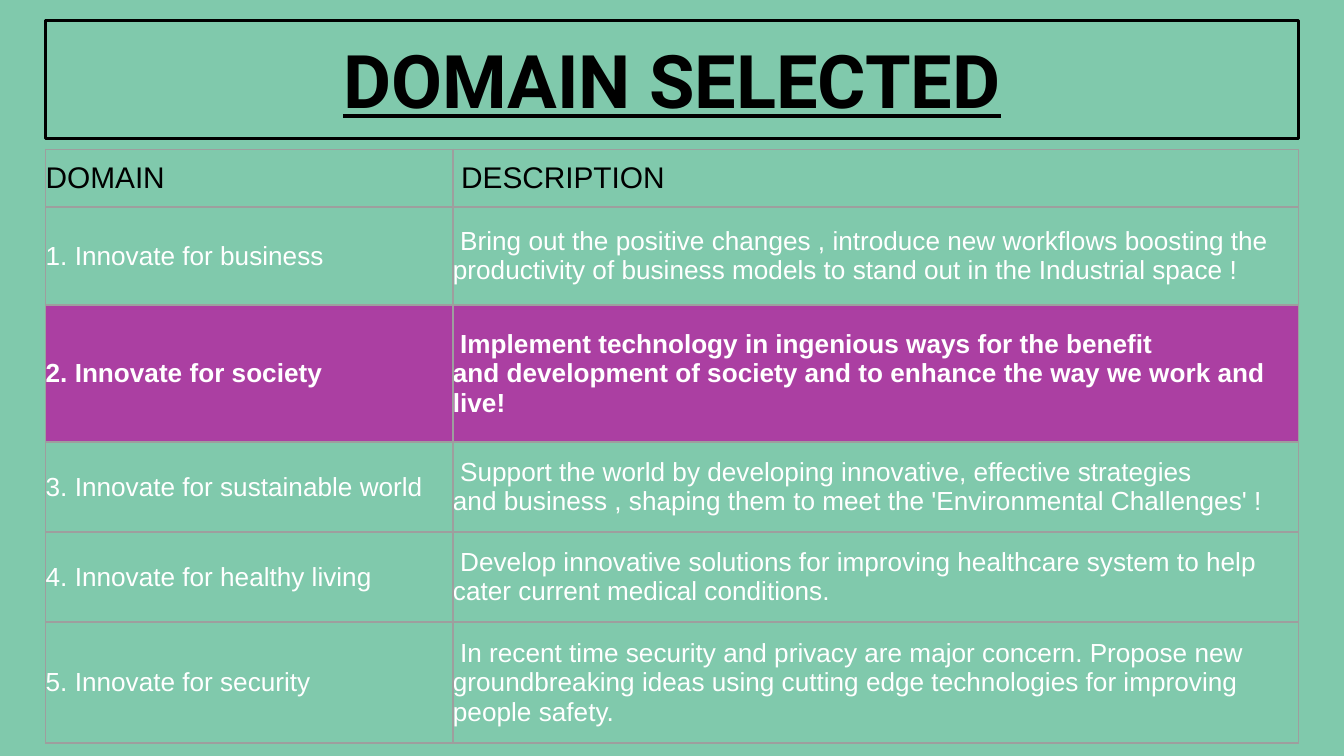
from dataclasses import dataclass

from pptx import Presentation
from pptx.dml.color import RGBColor
from pptx.enum.text import MSO_ANCHOR as Anchor, MSO_AUTO_SIZE as AutoSize, PP_ALIGN as Align
from pptx.oxml import parse_xml
from pptx.oxml.ns import nsdecls
from pptx.util import Inches, Pt

GREEN = RGBColor(0x80, 0xC9, 0xAC)
PURPLE = RGBColor(0xAB, 0x3F, 0xA2)
GREY = RGBColor(0x9E, 0x9E, 0x9E)
BLACK = RGBColor(0, 0, 0)
WHITE = RGBColor(0xFF, 0xFF, 0xFF)

SLIDE_W = Inches(10)
SLIDE_H = SLIDE_W * 9 // 16
LEFT, WIDTH = 0.034, 0.932
COLS = (3.03, 6.29)
ROWS = (0.43, 0.73, 1.02, 0.67, 0.67, 0.9)
MARGINS = ("margin_left", "margin_right", "margin_top", "margin_bottom")
NBSP = chr(160)


@dataclass
class Row:
    domain: str
    description: str
    size: float = 14
    color: RGBColor = WHITE
    selected: bool = False


TABLE = (
    Row("DOMAIN", "DESCRIPTION", size=16, color=BLACK),
    Row("1. Innovate for business",
        "Bring out the positive changes , introduce new workflows boosting the "
        "productivity of business models to stand out in the Industrial space !"),
    Row("2. Innovate for society",
        "Implement technology in ingenious ways for the benefit "
        f"and{NBSP}development of society and to enhance the way we work and live!",
        selected=True),
    Row("3. Innovate for sustainable world",
        "Support the world by developing innovative, effective strategies "
        f"and{NBSP}business , shaping them to meet the 'Environmental Challenges' !"),
    Row("4. Innovate for healthy living",
        "Develop innovative solutions for improving healthcare system to help "
        "cater current medical conditions."),
    Row("5. Innovate for security",
        "In recent time security and privacy are major concern. Propose new "
        "groundbreaking ideas using cutting edge technologies for improving people safety."),
)


def set_attrs(obj, **values) -> None:
    for name, value in values.items():
        setattr(obj, name, value)


def write(p, text: str, color: RGBColor, **font):
    r = p.add_run()
    r.text = text
    set_attrs(r.font, **font)
    r.font.color.rgb = color
    return r


def line_xml(tag: str, color: RGBColor):
    return parse_xml(
        f'<a:{tag} {nsdecls("a")} w="{Pt(0.75)}"><a:solidFill>'
        f'<a:srgbClr val="{color}"/></a:solidFill></a:{tag}>')


def add_title(s, text: str) -> None:
    sp = s.shapes.title
    set_attrs(sp, left=int(SLIDE_W * LEFT), top=Inches(0.15),
              width=int(SLIDE_W * WIDTH), height=Inches(0.88))
    sp.line.color.rgb = BLACK
    sp.line.width = Pt(1.5)
    tf = sp.text_frame
    set_attrs(tf, auto_size=AutoSize.NONE, word_wrap=True, vertical_anchor=Anchor.MIDDLE,
              **dict.fromkeys(MARGINS, Inches(0.1)))
    p = tf.paragraphs[0]
    p.alignment = Align.CENTER
    r = write(p, text, BLACK, name="Roboto", size=Pt(39.6), bold=True, underline=True)
    r.font._element.insert(0, line_xml("ln", WHITE))


def fill_cell(cell, text: str, row: Row) -> None:
    set_attrs(cell, vertical_anchor=Anchor.MIDDLE, **dict.fromkeys(MARGINS, 0))
    write(cell.text_frame.paragraphs[0], text, row.color,
          name="Arial", size=Pt(row.size), bold=row.selected)
    if row.selected:
        cell.fill.solid()
        cell.fill.fore_color.rgb = PURPLE
    else:
        cell.fill.background()
    tc_pr = cell._tc.get_or_add_tcPr()
    for i, tag in enumerate(("lnL", "lnR", "lnT", "lnB")):
        tc_pr.insert(i, line_xml(tag, GREY))


def add_domains(s, rows: tuple[Row, ...]) -> None:
    frame = s.shapes.add_table(len(ROWS), len(COLS), int(SLIDE_W * LEFT), Inches(1.11),
                               Inches(sum(COLS)), Inches(sum(ROWS)))
    table = frame.table
    set_attrs(table, first_row=False, horz_banding=False)
    for col, width in zip(table.columns, COLS):
        col.width = Inches(width)
    for line, height, row in zip(table.rows, ROWS, rows):
        line.height = Inches(height)
        texts = (row.domain + NBSP, NBSP + row.description + NBSP)
        for cell, text in zip(line.cells, texts):
            fill_cell(cell, text, row)


def main() -> None:
    prs = Presentation()
    set_attrs(prs, slide_width=SLIDE_W, slide_height=SLIDE_H)
    s = prs.slides.add_slide(prs.slide_layouts[5])
    s.background.fill.solid()
    s.background.fill.fore_color.rgb = GREEN
    add_title(s, "DOMAIN SELECTED")
    add_domains(s, TABLE)
    prs.save("out.pptx")


if __name__ == "__main__":
    main()
